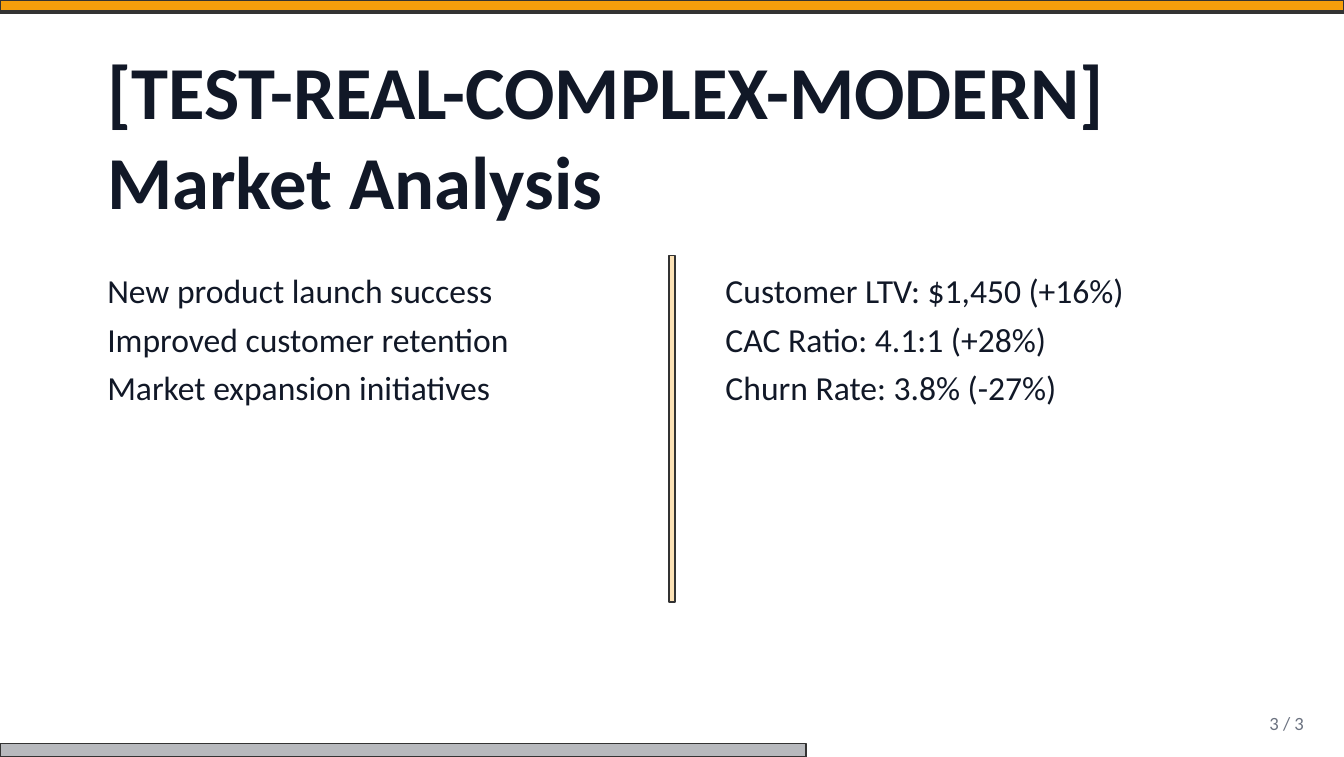
from dataclasses import dataclass

from lxml import etree
from pptx import Presentation
from pptx.dml.color import RGBColor
from pptx.enum import shapes, text
from pptx.oxml.ns import qn
from pptx.util import Inches, Pt

COLORS = {"ink": "111827", "accent": "F59E0B", "outline": "333333", "muted": "6B7280"}
FONT = "Calibri"
WIDTH, HEIGHT = 10, 5.63
COLUMN_TOP = 1.9


@dataclass
class Bar:
    left: float
    top: float
    width: float
    height: float
    color: str
    opacity: int = 100  # percent


@dataclass
class Column:
    left: float
    lines: list[str]


def rgb(name: str) -> RGBColor:
    return RGBColor.from_string(COLORS[name])


def draw_bar(slide, bar: Bar) -> None:
    rect = slide.shapes.add_shape(
        shapes.MSO_SHAPE.RECTANGLE,
        Inches(bar.left), Inches(bar.top), Inches(bar.width), Inches(bar.height))
    rect.shadow.inherit = False
    rect.fill.solid()
    rect.fill.fore_color.rgb = rgb(bar.color)
    if bar.opacity < 100:
        color = rect.fill._xPr.find(qn("a:solidFill"))[0]
        etree.SubElement(color, qn("a:alpha")).set("val", str(bar.opacity * 1000))
    rect.line.color.rgb = rgb(bar.outline if hasattr(bar, "outline") else "outline")
    rect.line.width = Pt(1)


def draw_text(slide, lines: list[str], left: float, top: float, width: float,
              height: float, *, size: int, color: str = "ink", bold: bool = False,
              anchor=text.MSO_ANCHOR.TOP, align=text.PP_ALIGN.LEFT,
              spacing: int | None = None) -> None:
    frame = slide.shapes.add_textbox(
        Inches(left), Inches(top), Inches(width), Inches(height)).text_frame
    frame.word_wrap = True
    frame.vertical_anchor = anchor
    for index, line in enumerate(lines):
        paragraph = frame.add_paragraph() if index else frame.paragraphs[0]
        paragraph.alignment = align
        if spacing:
            paragraph.line_spacing = Pt(spacing)
        run = paragraph.add_run()
        run.text = line
        run.font.name = FONT
        run.font.size = Pt(size)
        run.font.bold = bold
        run.font.color.rgb = rgb(color)


BARS = [
    Bar(0, 0, WIDTH, 0.08, "accent"),                        # top band
    Bar(0, 0.08, WIDTH, 0.02, "ink", 10),                    # band's lower edge
    Bar(0, HEIGHT - 0.1, 0.6 * WIDTH, 0.1, "ink", 30),       # footer band
    Bar(WIDTH / 2 - 0.02, COLUMN_TOP, 0.04, 2.58, "accent", 30),  # column divider
]
COLUMNS = [
    Column(0.7, ["New product launch success",
                 "Improved customer retention",
                 "Market expansion initiatives"]),
    Column(5.3, ["Customer LTV: $1,450 (+16%)",
                 "CAC Ratio: 4.1:1 (+28%)",
                 "Churn Rate: 3.8% (-27%)"]),
]


def main() -> None:
    deck = Presentation()
    deck.slide_width, deck.slide_height = Inches(WIDTH), Inches(HEIGHT)
    slide = deck.slides.add_slide(deck.slide_layouts[6])

    # Bands and divider
    for bar in BARS:
        draw_bar(slide, bar)

    # Title
    draw_text(slide, ["[TEST-REAL-COMPLEX-MODERN] Market Analysis"], 0.7, 0.6, 8.6, 0.8,
              size=40, bold=True, anchor=text.MSO_ANCHOR.MIDDLE)

    # Two columns
    for column in COLUMNS:
        draw_text(slide, column.lines, column.left, COLUMN_TOP, 4, 3.23,
                  size=18, spacing=26)

    # Page number
    draw_text(slide, ["3 / 3"], 8.8, 5.23, 1, 0.3, size=10, color="muted",
              anchor=text.MSO_ANCHOR.MIDDLE, align=text.PP_ALIGN.RIGHT)

    deck.save("out.pptx")


if __name__ == "__main__":
    main()
